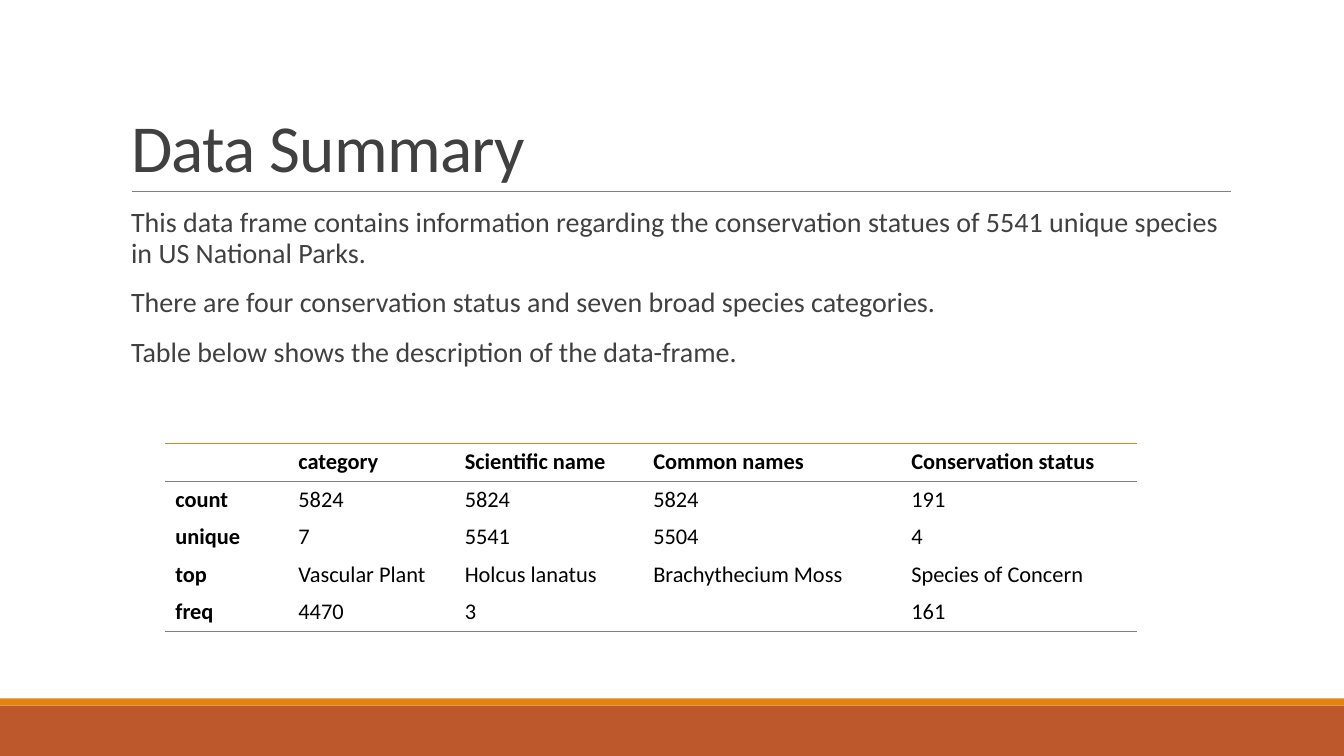
from lxml import etree
from pptx import Presentation
from pptx.dml.color import RGBColor
from pptx.enum.shapes import MSO_CONNECTOR, MSO_SHAPE
from pptx.enum.text import MSO_ANCHOR, MSO_AUTO_SIZE, PP_ALIGN
from pptx.oxml.ns import qn
from pptx.util import Inches, Pt

TITLE = "Data Summary"
BODY = [
    "This data frame contains information regarding the conservation statues of 5541 unique species in US National Parks.",
    "There are four conservation status and seven broad species categories.",
    "Table below shows the description of the data-frame.",
]
ROWS = [
    ["", "category", "Scientific name", "Common names", "Conservation status"],
    ["count", "5824", "5824", "5824", "191"],
    ["unique", "7", "5541", "5504", "4"],
    ["top", "Vascular Plant", "Holcus lanatus", "Brachythecium Moss", "Species of Concern"],
    ["freq", "4470", "3", "", "161"],
]
COL_WIDTHS = [1.22, 1.65, 1.87, 2.56, 2.34]
ROW_HEIGHT = 0.37
BARS = [(7, 0.5, "BD582C"), (6.93, 0.07, "E48312")]
ORANGE, GREY, DARK = "E48312", "808080", "404040"
RULES = {0: (ORANGE, 1.5), 1: (GREY, 0.75), len(ROWS): (GREY, 0.75)}


def rgb(value):
    return RGBColor.from_string(value)


def write(p, text, size=16, color="000000", bold=False, spacing=None):
    if not text:
        etree.SubElement(p._p, qn("a:endParaRPr"), sz=str(size * 100))
        return
    r = p.add_run()
    r.text = text
    r.font.name = "Calibri"
    r.font.size = Pt(size)
    r.font.bold = bold
    r.font.color.rgb = rgb(color)
    if spacing:
        r._r.get_or_add_rPr().set("spc", str(spacing))


def place(sp, left, top, width, height):
    sp.left, sp.top = Inches(left), Inches(top)
    sp.width, sp.height = Inches(width), Inches(height)
    sp.text_frame.auto_size = MSO_AUTO_SIZE.NONE
    return sp.text_frame


def set_bullet(p):
    pPr = p._p.get_or_add_pPr()
    pPr.set("marL", str(Inches(0.1)))
    pPr.set("indent", str(Inches(-0.1)))
    clr = etree.SubElement(pPr, qn("a:buClr"))
    etree.SubElement(clr, qn("a:srgbClr"), val=ORANGE)
    etree.SubElement(pPr, qn("a:buChar"), char=" ")


def set_borders(cell, row):
    tcPr = cell._tc.get_or_add_tcPr()
    edges = [("a:lnL", None), ("a:lnR", None), ("a:lnT", RULES.get(row)), ("a:lnB", RULES.get(row + 1))]
    for tag, rule in edges:
        ln = etree.SubElement(tcPr, qn(tag))
        if rule:
            color, width = rule
            ln.set("w", str(Pt(width)))
            fill = etree.SubElement(ln, qn("a:solidFill"))
            etree.SubElement(fill, qn("a:srgbClr"), val=color)
        else:
            etree.SubElement(ln, qn("a:noFill"))


def add_data_table(s):
    frame = s.shapes.add_table(len(ROWS), len(COL_WIDTHS), Inches(1.64), Inches(4.4),
                               Inches(sum(COL_WIDTHS)), Inches(ROW_HEIGHT * len(ROWS)))
    table = frame.table
    table.first_row = table.horz_banding = False
    for column, width in zip(table.columns, COL_WIDTHS):
        column.width = Inches(width)
    for i, values in enumerate(ROWS):
        table.rows[i].height = Inches(ROW_HEIGHT)
        for j, text in enumerate(values):
            cell = table.cell(i, j)
            cell.vertical_anchor = MSO_ANCHOR.MIDDLE
            set_borders(cell, i)
            cell.fill.background()
            write(cell.text_frame.paragraphs[0], text, bold=i == 0 or j == 0)


def main():
    prs = Presentation()
    prs.slide_width, prs.slide_height = Inches(13.33), Inches(7.5)
    s = prs.slides.add_slide(prs.slide_layouts[1])

    for top, height, color in BARS:
        bar = s.shapes.add_shape(MSO_SHAPE.RECTANGLE, 0, Inches(top), prs.slide_width, Inches(height))
        bar.shadow.inherit = False
        bar.fill.solid()
        bar.fill.fore_color.rgb = rgb(color)
        bar.line.fill.background()

    rule = s.shapes.add_connector(MSO_CONNECTOR.STRAIGHT, Inches(1.31), Inches(1.9), Inches(12.21), Inches(1.9))
    rule.line.color.rgb = rgb(GREY)
    rule.line.width = Pt(0.5)
    etree.SubElement(rule._element.spPr, qn("a:effectLst"))

    tf = place(s.shapes.title, 1.2, 0.31, 11, 1.59)
    tf.vertical_anchor = MSO_ANCHOR.BOTTOM
    p = tf.paragraphs[0]
    p.alignment = PP_ALIGN.LEFT
    p.line_spacing = 0.85
    write(p, TITLE, size=48, color=DARK, spacing=-50)

    tf = place(s.placeholders[1], 1.2, 2.02, 11, 4.4)
    tf.margin_left = tf.margin_right = 0
    tf.vertical_anchor = MSO_ANCHOR.TOP
    for i, text in enumerate(BODY):
        p = tf.add_paragraph() if i else tf.paragraphs[0]
        p.line_spacing = 0.9
        p.space_before, p.space_after = Pt(12), Pt(2)
        set_bullet(p)
        write(p, text, size=20, color=DARK)

    add_data_table(s)
    prs.save("out.pptx")


if __name__ == "__main__":
    main()
